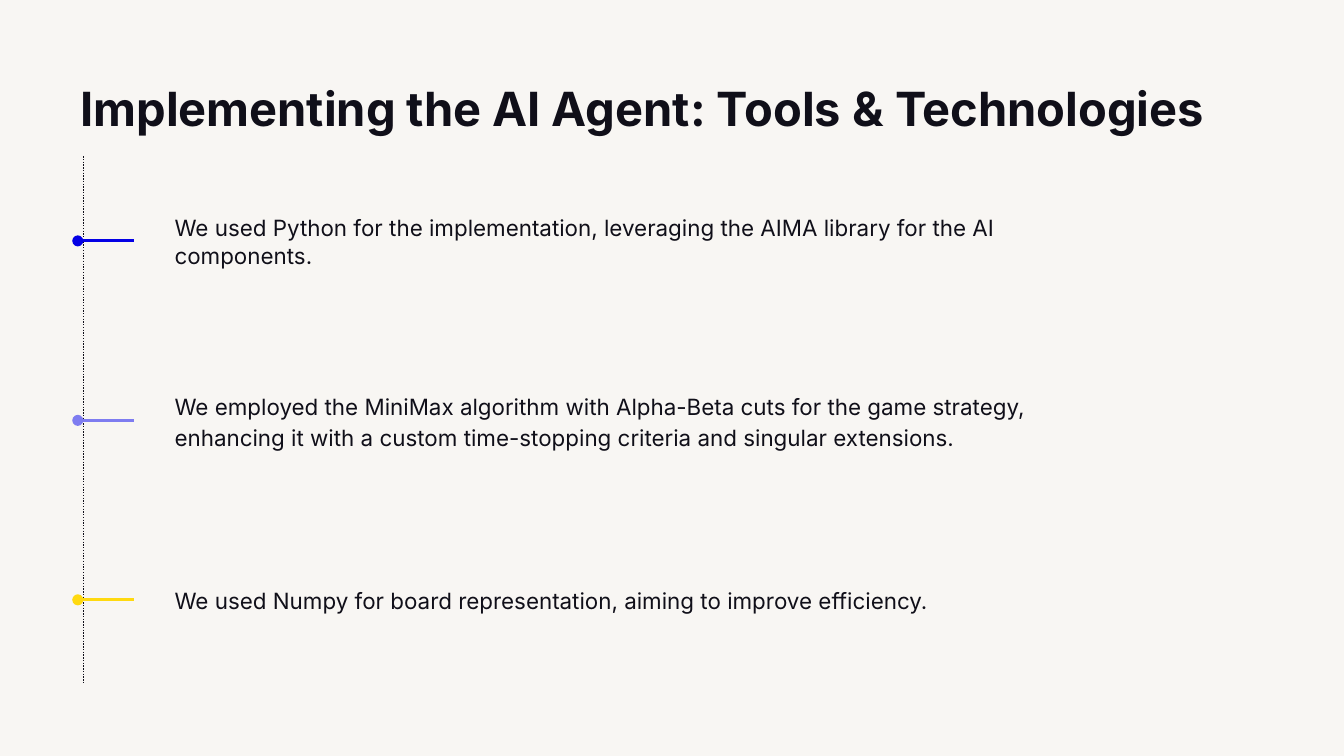
"""Build a slide that lists tools and technologies along a dotted timeline."""
from dataclasses import dataclass

from lxml import etree
from pptx import Presentation
from pptx.dml.color import RGBColor
from pptx.enum.dml import MSO_LINE
from pptx.enum.shapes import MSO_CONNECTOR
from pptx.enum.text import MSO_ANCHOR, MSO_AUTO_SIZE, PP_ALIGN
from pptx.oxml.ns import qn
from pptx.shapes.autoshape import Shape
from pptx.shapes.connector import Connector
from pptx.slide import Slide
from pptx.util import Cm, Pt

STRAIGHT = MSO_CONNECTOR.STRAIGHT
DOT = MSO_LINE.ROUND_DOT
MIDDLE = MSO_ANCHOR.MIDDLE
LEFT = PP_ALIGN.LEFT
NO_FIT = MSO_AUTO_SIZE.NONE


@dataclass(frozen=True)
class Theme:
    font: str = "Inter"
    back: str = "F8F6F3"
    ink: str = "100F19"
    head: float = 25.2
    body: float = 12
    thin: float = 0.75
    thick: float = 1.5


@dataclass(frozen=True)
class Step:
    text: str
    color: str
    pitch: float = 1.05


THEME = Theme()
STEPS = (
    Step("We used Python for the implementation, leveraging the AIMA library "
         "for the AI components.", "0400E5"),
    Step("We employed the MiniMax algorithm with Alpha-Beta cuts for the game "
         "strategy, enhancing it with a custom time-stopping criteria and "
         "singular extensions.", "7E7CF0", 1.15),
    Step("We used Numpy for board representation, aiming to improve "
         "efficiency.", "FFD90F"),
)
FIRST, GAP, TALL = 4.55, 3.39, 2.74
INSET = Cm(0.25)


def apply(target: object, values: dict) -> None:
    for name, value in values.items():
        setattr(target, name, value)


def write(box: Shape, text: str, size: float, bold: bool, inset: Cm,
          space: dict) -> None:
    frame = box.text_frame
    frame.text = text
    apply(frame, {
        "word_wrap": True, "auto_size": NO_FIT, "vertical_anchor": MIDDLE,
        "margin_left": inset, "margin_right": INSET,
        "margin_top": INSET, "margin_bottom": INSET,
    })
    para = frame.paragraphs[0]
    apply(para, {"alignment": LEFT, **space})
    font = para.runs[0].font
    apply(font, {"name": THEME.font, "size": Pt(size), "bold": bold})
    font.color.rgb = RGBColor.from_string(THEME.ink)


def rule(slide: Slide, start: tuple[float, float], end: tuple[float, float],
         color: str, width: float) -> Connector:
    line = slide.shapes.add_connector(STRAIGHT, *map(Cm, start + end))
    line.line.color.rgb = RGBColor.from_string(color)
    line.line.width = Pt(width)
    etree.SubElement(line._element.spPr, qn("a:effectLst"))
    return line


def draw_step(slide: Slide, step: Step, mid: float) -> None:
    box = slide.shapes.add_textbox(Cm(2.54), Cm(mid - TALL / 2),
                                   Cm(19.05), Cm(TALL))
    write(box, step.text, THEME.body, False, Cm(0.76),
          {"line_spacing": step.pitch, "space_after": Pt(10)})
    mark = rule(slide, (1.47, mid), (2.54, mid), step.color, THEME.thick)
    etree.SubElement(mark.line._get_or_add_ln(), qn("a:headEnd"), type="oval")


def main() -> None:
    deck = Presentation()
    apply(deck, {"slide_width": Cm(25.4), "slide_height": Cm(14.28)})
    slide = deck.slides.add_slide(deck.slide_layouts[5])
    fill = slide.background.fill
    fill.solid()
    fill.fore_color.rgb = RGBColor.from_string(THEME.back)

    title = slide.shapes.title
    apply(title, {"left": Cm(1.27), "top": Cm(1.24),
                  "width": Cm(22.86), "height": Cm(1.6)})
    write(title, "Implementing the AI Agent: Tools & Technologies",
          THEME.head, True, INSET, {})

    axis = rule(slide, (1.58, 2.95), (1.58, 12.9), THEME.ink, THEME.thin)
    axis.line.dash_style = DOT
    for row, step in enumerate(STEPS):
        draw_step(slide, step, FIRST + row * GAP)
    deck.save("out.pptx")


if __name__ == "__main__":
    main()
